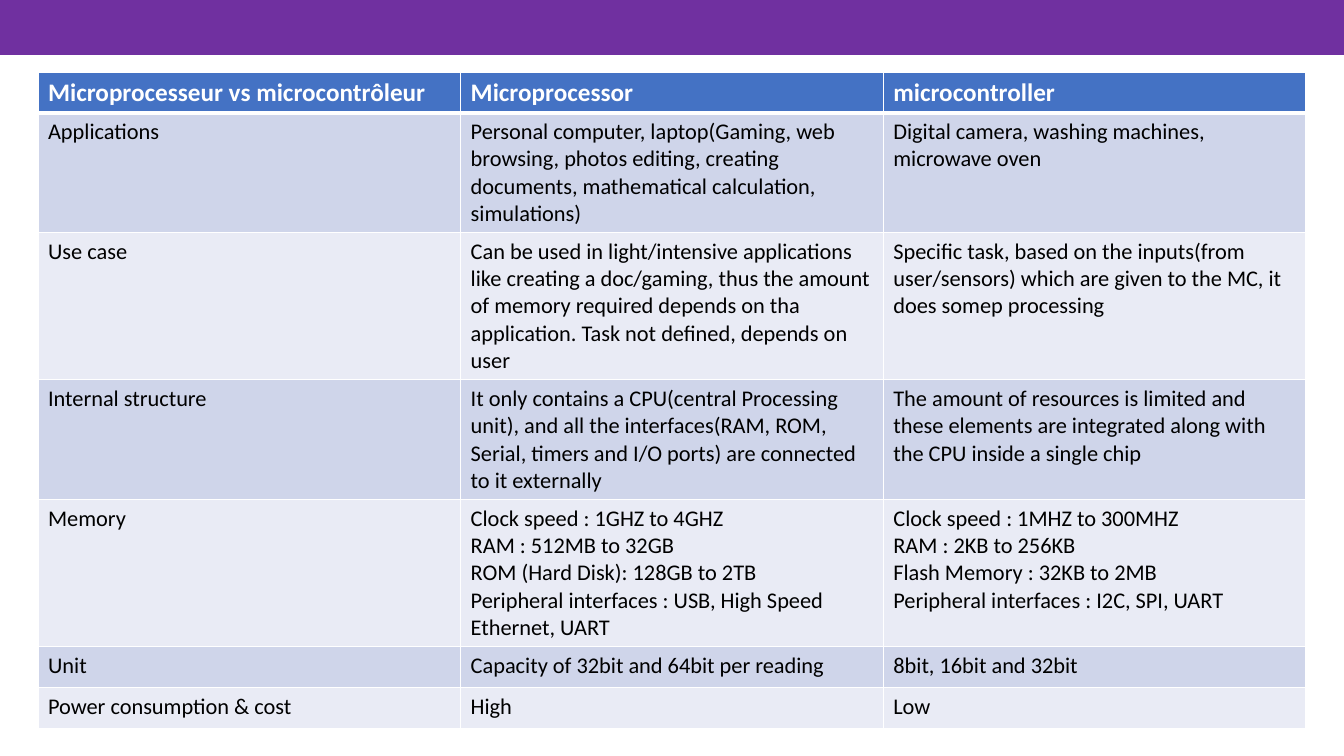
from dataclasses import dataclass

from lxml import etree
from pptx import Presentation, util as u
from pptx.dml.color import RGBColor
from pptx.enum import shapes
from pptx.oxml.ns import qn

SCALE = 914400 / 100.8
FONT = "Calibri"
PURPLE = RGBColor(0x70, 0x30, 0xA0)
BLUE = RGBColor(0x44, 0x72, 0xC4)
BANDS = (RGBColor(0xCF, 0xD5, 0xEA), RGBColor(0xE9, 0xEB, 0xF5))
WHITE = RGBColor(0xFF, 0xFF, 0xFF)
BLACK = RGBColor(0, 0, 0)


@dataclass(frozen=True)
class Row:
    """One table row: its height in pixels and its cell texts."""
    high: int
    cells: tuple[str, str, str]


@dataclass(frozen=True)
class Style:
    """Look of the cells in one row; rules are in points."""
    fill: RGBColor
    ink: RGBColor
    size: int
    bold: bool
    top: int
    base: int


ROWS = (
    Row(40, ("Microprocesseur vs microcontrôleur", "Microprocessor",
             "microcontroller")),
    Row(120, ("Applications",
              "Personal computer, laptop(Gaming, web browsing, photos editing, "
              "creating documents, mathematical calculation, simulations)",
              "Digital camera, washing machines, microwave oven")),
    Row(147, ("Use case",
              "Can be used in light/intensive applications like creating a "
              "doc/gaming, thus the amount of memory required depends on tha "
              "application. Task not defined, depends on user",
              "Specific task, based on the inputs(from user/sensors) which are "
              "given to the MC, it does somep processing")),
    Row(120, ("Internal structure",
              "It only contains a CPU(central Processing unit), and all the "
              "interfaces(RAM, ROM, Serial, timers and I/O ports) are "
              "connected to it externally",
              "The amount of resources is limited and these elements are "
              "integrated along with the CPU inside a single chip")),
    Row(147, ("Memory",
              "Clock speed : 1GHZ to 4GHZ\nRAM : 512MB to 32GB\n"
              "ROM (Hard Disk): 128GB to 2TB\n"
              "Peripheral interfaces : USB, High Speed Ethernet, UART",
              "Clock speed : 1MHZ to 300MHZ\nRAM : 2KB to 256KB\n"
              "Flash Memory : 32KB to 2MB\n"
              "Peripheral interfaces : I2C, SPI, UART")),
    Row(41, ("Unit", "Capacity of 32bit and 64bit per reading",
             "8bit, 16bit and 32bit")),
    Row(41, ("Power consumption & cost", "High", "Low")),
)


def px(count: int) -> u.Emu:
    """Turn pixels into EMU."""
    return u.Emu(round(count * SCALE))


def pick(index: int) -> Style:
    """Choose the style of a row: header, then alternating bands."""
    if index == 0:
        return Style(BLUE, WHITE, 18, True, 1, 3)
    top = 3 if index == 1 else 1
    return Style(BANDS[(index - 1) % 2], BLACK, 16, False, top, 1)


def edge(cell, style: Style) -> None:
    """Rule all four sides of a cell in white."""
    props = cell._tc.get_or_add_tcPr()
    sides = (("L", 1), ("R", 1), ("T", style.top), ("B", style.base))
    for place, (side, wide) in enumerate(sides):
        line = etree.Element(qn(f"a:ln{side}"), w=str(u.Pt(wide)))
        fill = etree.SubElement(line, qn("a:solidFill"))
        etree.SubElement(fill, qn("a:srgbClr"), val=str(WHITE))
        props.insert(place, line)


def write(cell, words: str, style: Style) -> None:
    """Fill one cell with text and its style."""
    cell.fill.solid()
    cell.fill.fore_color.rgb = style.fill
    edge(cell, style)
    cell.text = words
    for para in cell.text_frame.paragraphs:
        font = para.font
        font.name, font.size, font.bold = FONT, u.Pt(style.size), style.bold
        font.color.rgb = style.ink


def banner(slide) -> None:
    """Draw the purple band across the top."""
    band = slide.shapes.add_shape(
        shapes.MSO_SHAPE.RECTANGLE, 0, 0, px(1344), px(54))
    band.shadow.inherit = False
    band.fill.solid()
    band.fill.fore_color.rgb = PURPLE
    band.line.color.rgb = PURPLE
    band.line.width = u.Pt(1)


def grid(slide, rows: tuple[Row, ...]) -> None:
    """Draw the comparison table with three equal columns."""
    high = sum(row.high for row in rows)
    table = slide.shapes.add_table(
        len(rows), 3, px(38), px(72), px(1268), px(high)).table
    for index, row in enumerate(rows):
        table.rows[index].height = px(row.high)
        style = pick(index)
        for col, words in enumerate(row.cells):
            write(table.cell(index, col), words, style)


def main() -> None:
    """Build and save the slide."""
    deck = Presentation()
    deck.slide_width, deck.slide_height = px(1344), px(756)
    slide = deck.slides.add_slide(deck.slide_layouts[6])
    banner(slide)
    grid(slide, ROWS)
    deck.save("out.pptx")


main()
